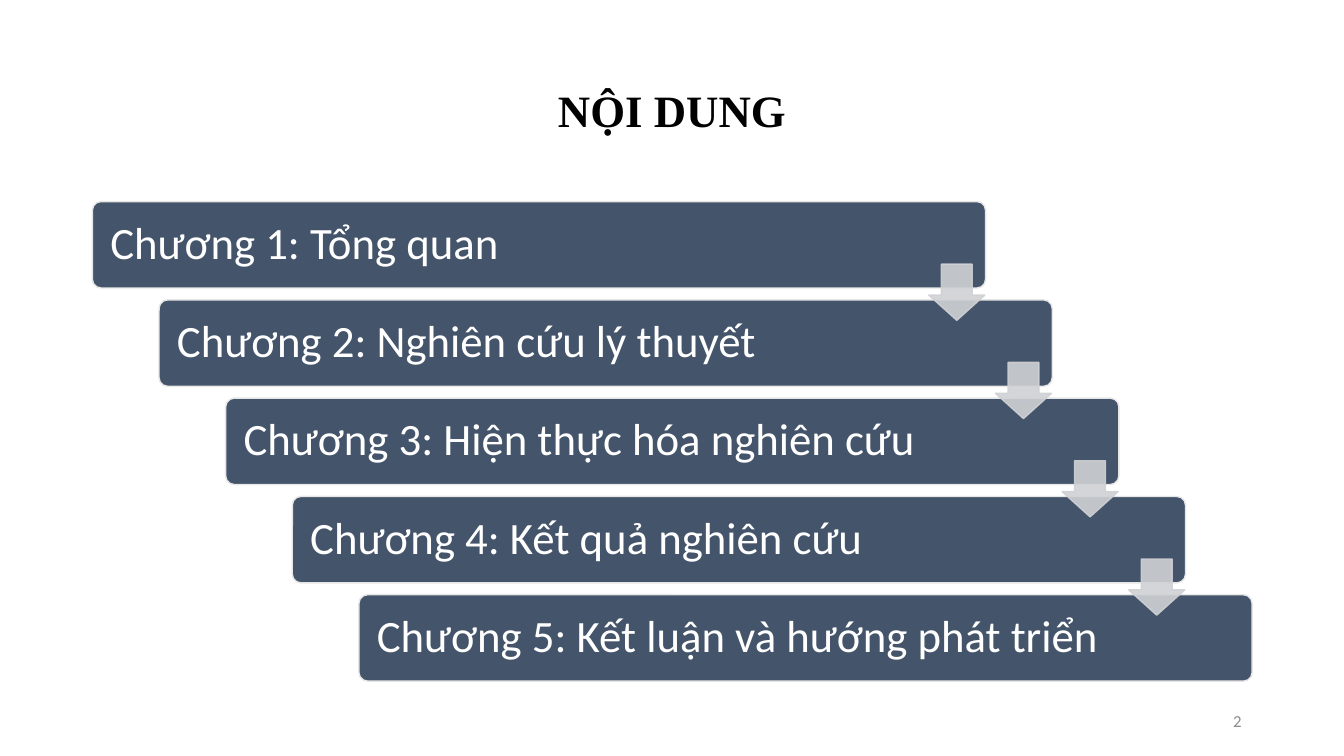
from lxml import etree
from pptx import Presentation
from pptx.dml.color import RGBColor
from pptx.enum.shapes import MSO_SHAPE
from pptx.enum.text import MSO_ANCHOR, PP_ALIGN
from pptx.oxml.ns import qn
from pptx.util import Pt

ROUNDED = MSO_SHAPE.ROUNDED_RECTANGLE
DOWN_ARROW = MSO_SHAPE.DOWN_ARROW
MIDDLE = MSO_ANCHOR.MIDDLE
LEFT, CENTER, RIGHT = PP_ALIGN.LEFT, PP_ALIGN.CENTER, PP_ALIGN.RIGHT

COLORS = {
    "title": "000000",
    "bar": "44546A",
    "bar_edge": "E7E6E6",
    "bar_text": "FFFFFF",
    "arrow": "CFD1D4",
    "number": "8C8C8C",
}
CHAPTERS = [
    "Chương 1: Tổng quan",
    "Chương 2: Nghiên cứu lý thuyết",
    "Chương 3: Hiện thực hóa nghiên cứu",
    "Chương 4: Kết quả nghiên cứu",
    "Chương 5: Kết luận và hướng phát triển",
]
STEP_X, STEP_Y = 47.6, 70.2


def color(name):
    return RGBColor.from_string(COLORS[name])


def write(shape, text, size, tint, align, font="Calibri", bold=False, spacing=1.0):
    frame = shape.text_frame
    frame.word_wrap = True
    frame.vertical_anchor = MIDDLE
    line = frame.paragraphs[0]
    line.text = text
    line.alignment = align
    line.line_spacing = spacing
    line.font.name = font
    line.font.size = Pt(size)
    line.font.bold = bold
    line.font.color.rgb = color(tint)


def add_label(slide, box, *style, **options):
    label = slide.shapes.add_textbox(*map(Pt, box))
    write(label, *style, **options)


def add_block(slide, preset, box, adjustments, fill, edge):
    block = slide.shapes.add_shape(preset, *map(Pt, box))
    block.shadow.inherit = False
    for index, value in enumerate(adjustments):
        block.adjustments[index] = value
    block.fill.solid()
    block.fill.fore_color.rgb = color(fill)
    block.line.color.rgb = color(edge)
    block.line.width = Pt(1)
    return block


def add_chapter(slide, step, chapter):
    box = (66 + step * STEP_X, 144 + step * STEP_Y, 638, 61.7)
    bar = add_block(slide, ROUNDED, box, [0.1], "bar", "bar_edge")
    bar.text_frame.margin_left = Pt(11)
    write(bar, chapter, 32, "bar_text", LEFT, spacing=0.9)


def add_step_arrow(slide, step):
    box = (663.4 + step * STEP_X, 188.7 + step * STEP_Y, 40.1, 40.1)
    arrow = add_block(slide, DOWN_ARROW, box, [0.55, 0.45], "arrow", "arrow")
    for tone in arrow.element.spPr.iter(qn("a:srgbClr")):
        etree.SubElement(tone, qn("a:alpha")).set("val", "90000")


def main():
    """Build the contents slide with its staircase of chapters."""
    deck = Presentation()
    deck.slide_width, deck.slide_height = Pt(960), Pt(540)
    slide = deck.slides.add_slide(deck.slide_layouts[6])
    add_label(slide, (66, 28.8, 828, 104.4), "NỘI DUNG", 32, "title", CENTER,
              font="Times New Roman", bold=True, spacing=0.9)
    for step, chapter in enumerate(CHAPTERS):
        add_chapter(slide, step, chapter)
    for step in range(len(CHAPTERS) - 1):
        add_step_arrow(slide, step)
    add_label(slide, (678, 500.5, 216, 28.8), "2", 12, "number", RIGHT)
    deck.save("out.pptx")


if __name__ == "__main__":
    main()
